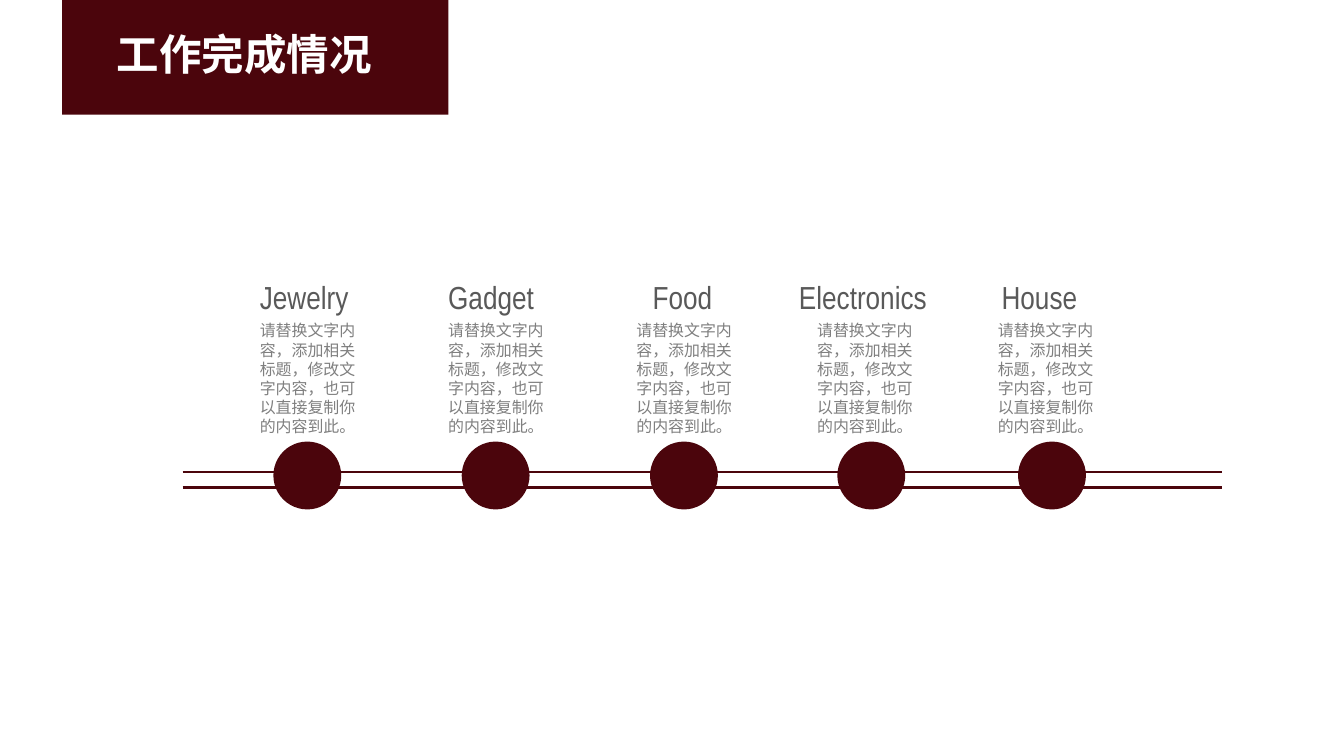
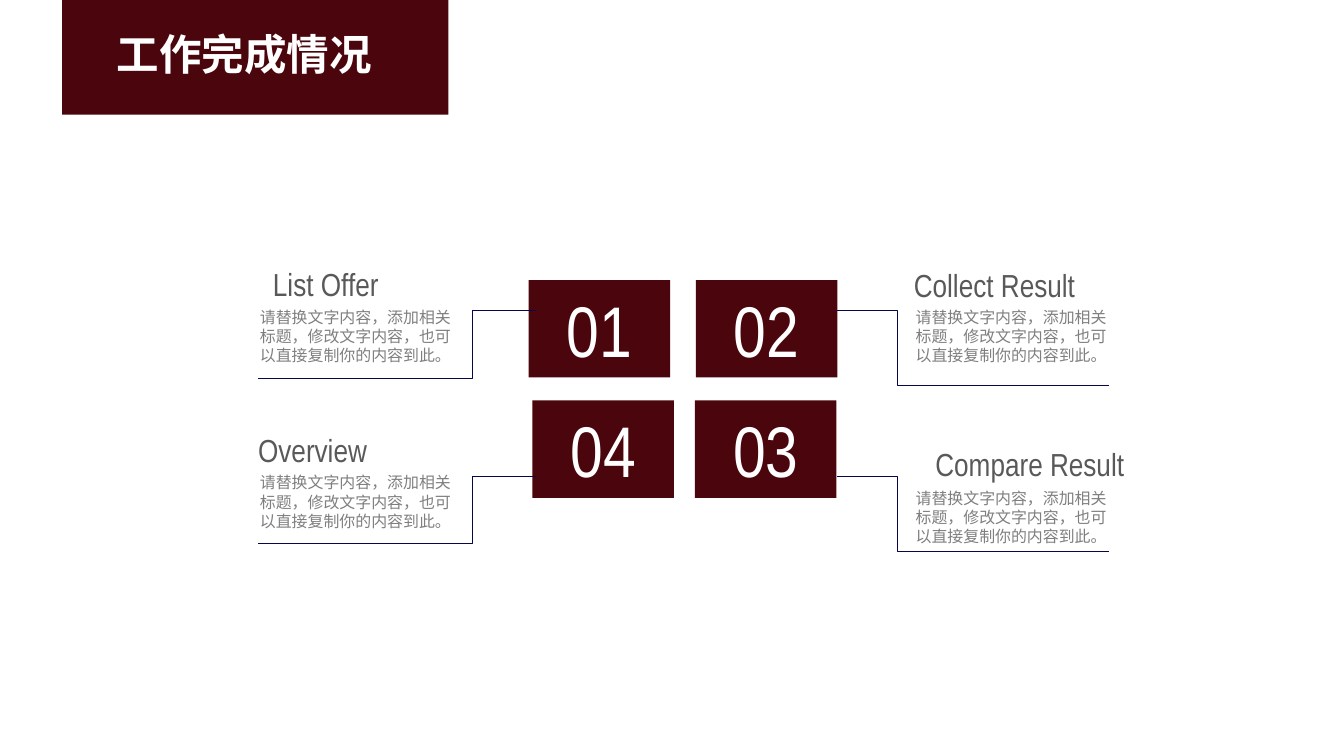
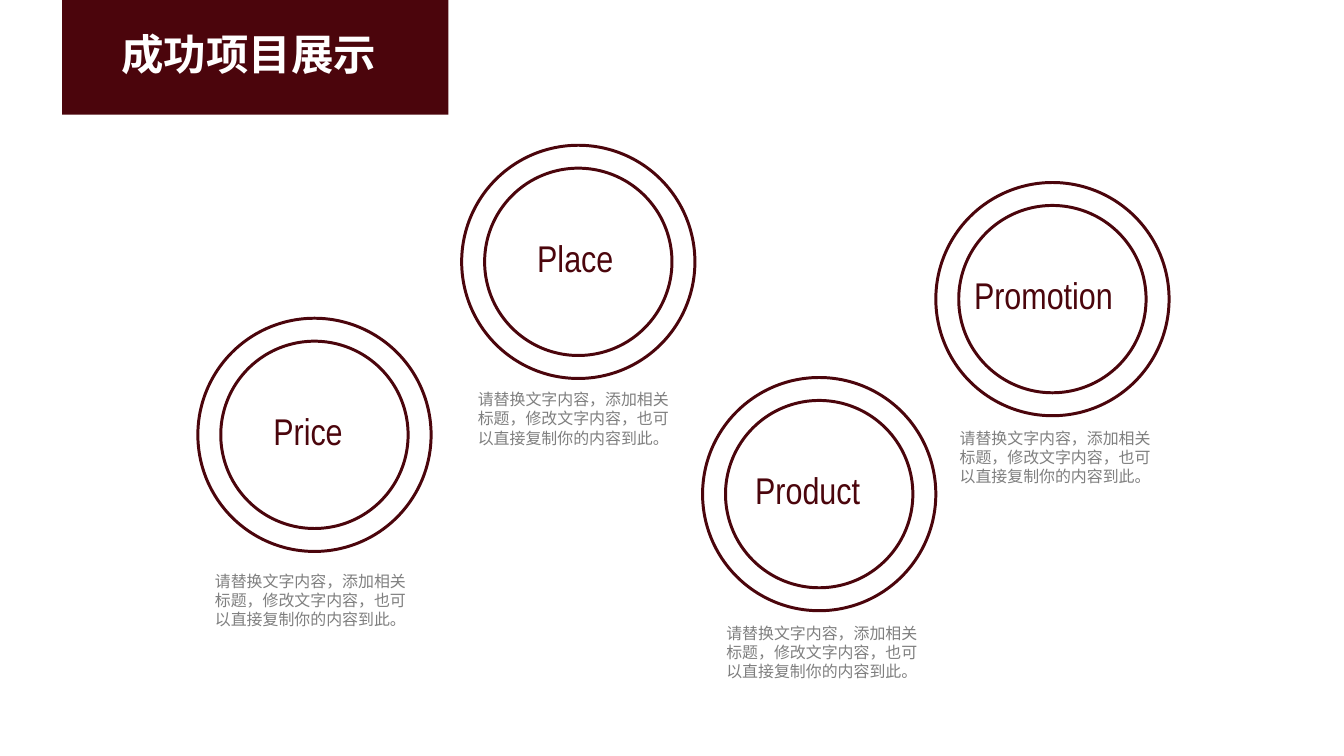
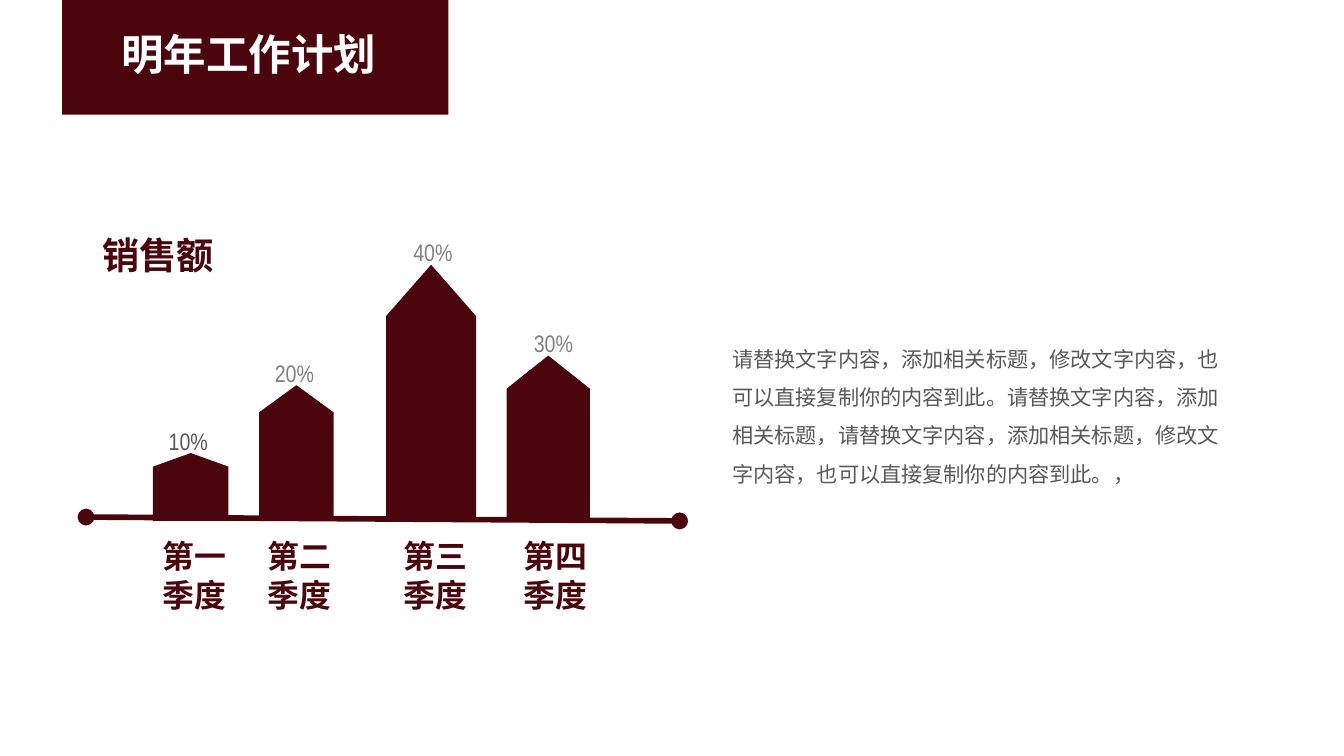
from lxml.etree import SubElement
from pptx import Presentation
from pptx.dml.color import RGBColor
from pptx.enum.shapes import MSO_CONNECTOR, MSO_SHAPE
from pptx.enum.text import MSO_ANCHOR, MSO_AUTO_SIZE, PP_ALIGN
from pptx.oxml.ns import qn
from pptx.util import Inches, Pt

MAROON = "4B050C"
NAVY = "06064C"
WHITE = "FFFFFF"
DARK_GREY = "595959"
MID_GREY = "808080"
NOTE_GREY = "7F7F7F"
LATIN_FONT = "Arial Narrow"
CHINESE_FONT = "Noto Sans CJK SC"
NOTE = "请替换文字内容，添加相关标题，修改文字内容，也可以直接复制你的内容到此。"
TITLE_ONLY = 5


def colour(hex_string):
    return RGBColor.from_string(hex_string)


def write_text(shape, text, size, color, font=LATIN_FONT, bold=False,
               align=PP_ALIGN.LEFT, anchor=MSO_ANCHOR.TOP,
               insets=(0.1, 0.05, 0.1, 0.05), line_spacing=None):
    """Fill a shape with one formatted paragraph; insets are left, top, right, bottom."""
    frame = shape.text_frame
    frame.text = text
    frame.word_wrap = True
    frame.auto_size = MSO_AUTO_SIZE.NONE
    frame.vertical_anchor = anchor
    (frame.margin_left, frame.margin_top,
     frame.margin_right, frame.margin_bottom) = map(Inches, insets)
    paragraph = frame.paragraphs[0]
    paragraph.alignment = align
    if line_spacing:
        paragraph.line_spacing = line_spacing
    run = paragraph.runs[0]
    run.font.size = Pt(size)
    run.font.bold = bold
    run.font.name = font
    run.font.color.rgb = colour(color)
    SubElement(run.font._element, qn("a:ea")).set("typeface", font)


def add_text(slide, box, text, **text_format):
    shape = slide.shapes.add_textbox(*map(Inches, box))
    write_text(shape, text, **text_format)


def add_note(slide, left, top, width=2.28, height=0.71):
    add_text(slide, (left, top, width, height), NOTE, size=12,
             color=NOTE_GREY, font=CHINESE_FONT)


def add_figure(slide, kind, box, fill=None, line=None, line_width=2.25):
    shape = slide.shapes.add_shape(kind, *map(Inches, box))
    shape.shadow.inherit = False
    if fill:
        shape.fill.solid()
        shape.fill.fore_color.rgb = colour(fill)
    else:
        shape.fill.background()
    if line:
        shape.line.color.rgb = colour(line)
        shape.line.width = Pt(line_width)
    else:
        shape.line.fill.background()
    return shape


def add_line(slide, start, end, color, width, bend=None, oval_ends=False):
    """Draw a straight line, or an elbow that turns at the share `bend` of its width."""
    kind = MSO_CONNECTOR.STRAIGHT if bend is None else MSO_CONNECTOR.ELBOW
    connector = slide.shapes.add_connector(kind, *map(Inches, start + end))
    connector.line.color.rgb = colour(color)
    connector.line.width = Pt(width)
    properties = connector._element.spPr
    if bend is not None:
        guides = properties.find(qn("a:prstGeom")).get_or_add_avLst()
        guide = SubElement(guides, qn("a:gd"))
        guide.set("name", "adj1")
        guide.set("fmla", f"val {round(bend * 100000)}")
    if oval_ends:
        for tag in ("a:headEnd", "a:tailEnd"):
            SubElement(properties.find(qn("a:ln")), qn(tag)).set("type", "oval")
    SubElement(properties, qn("a:effectLst"))


def add_titled_slide(presentation, title, indent):
    """Add a slide whose title placeholder is the maroon band at the top."""
    slide = presentation.slides.add_slide(presentation.slide_layouts[TITLE_ONLY])
    band = slide.shapes.title
    band.left, band.top, band.width, band.height = map(Inches, (0.65, 0, 4.04, 1.2))
    band.fill.solid()
    band.fill.fore_color.rgb = colour(MAROON)
    write_text(band, title, size=32, color=WHITE, font=CHINESE_FONT, bold=True,
               anchor=MSO_ANCHOR.MIDDLE, insets=(indent, 0.05, 0.1, 0.12))
    return slide


def add_stop(slide, left, top, label, label_shift, marker_shift):
    """Place a timeline stop: label, note and round marker."""
    add_text(slide, (left + label_shift, top, 1.8, 0.5), label,
             size=24, color=DARK_GREY)
    add_note(slide, left, top + 0.45, 1.26, 1.31)
    add_figure(slide, MSO_SHAPE.OVAL, (left + marker_shift, top + 1.76, 0.71, 0.71),
               fill=MAROON)


def build_timeline(presentation):
    slide = add_titled_slide(presentation, "工作完成情况", 0.57)
    for y in (4.94, 5.1):
        add_line(slide, (1.91, y), (12.78, y), MAROON, 2)
    stops = [
        (2.62, "Jewelry", 0, 0.24),
        (4.59, "Gadget", 0, 0.24),
        (6.56, "Food", 0.17, 0.24),
        (8.45, "Electronics", -0.19, 0.31),
        (10.34, "House", 0.04, 0.31),
    ]
    for left, *stop in stops:
        add_stop(slide, left, 2.86, *stop)


def add_number_tile(slide, left, top, number):
    tile = add_figure(slide, MSO_SHAPE.RECTANGLE, (left, top, 1.48, 1.02), fill=MAROON)
    write_text(tile, number, size=54, color=WHITE, align=PP_ALIGN.CENTER,
               anchor=MSO_ANCHOR.MIDDLE, insets=(0.11, 0.05, 0.11, 0.05))


def add_callout(slide, note_left, note_top, heading, heading_at, align, start, end, bend):
    """Place a heading, its note and the elbow that leads to a tile."""
    add_text(slide, (*heading_at, 2.44, 0.4), heading, size=24, color=DARK_GREY,
             align=align, insets=(0, 0, 0, 0))
    add_note(slide, note_left, note_top)
    add_line(slide, start, end, NAVY, 0.5, bend=bend)


def build_numbered_tiles(presentation):
    slide = add_titled_slide(presentation, "工作完成情况", 0.57)
    tiles = [(5.53, 2.93, "01"), (7.28, 2.93, "02"),
             (7.27, 4.19, "03"), (5.57, 4.19, "04")]
    for tile in tiles:
        add_number_tile(slide, *tile)
    left, right = PP_ALIGN.LEFT, PP_ALIGN.RIGHT
    callouts = [
        (2.62, 3.17, "List Offer", (1.52, 2.77), right, (5.61, 3.25), (2.7, 3.96), 0.23),
        (2.62, 4.9, "Overview", (2.7, 4.51), left, (5.61, 4.98), (2.7, 5.69), 0.23),
        (9.48, 3.17, "Collect Result", (9.56, 2.78), left, (8.76, 3.25), (11.6, 4.03), 0.22),
        (9.48, 5.06, "Compare Result", (9.32, 4.65), right, (8.76, 4.98), (11.6, 5.77), 0.22),
    ]
    for callout in callouts:
        add_callout(slide, *callout)


def add_ring(slide, left, top, label, label_shift, note_shift, note_drop):
    """Place two concentric circles with a label inside and a note below."""
    add_text(slide, (left + label_shift, top + 0.94, 2.44, 0.47), label,
             size=28, color=MAROON, insets=(0, 0, 0, 0))
    for inset in (0, 0.24):
        size = 2.44 - 2 * inset
        add_figure(slide, MSO_SHAPE.FLOWCHART_CONNECTOR,
                   (left + inset, top + inset, size, size), line=MAROON)
    add_note(slide, left + note_shift, top + note_drop)


def build_rings(presentation):
    slide = add_titled_slide(presentation, "成功项目展示", 0.62)
    rings = [
        (2.07, 3.33, "Price", 0.79, 0.08, 2.6),
        (4.83, 1.52, "Place", 0.79, 0.07, 2.51),
        (7.35, 3.95, "Product", 0.55, 0.15, 2.52),
        (9.79, 1.91, "Promotion", 0.4, 0.15, 2.52),
    ]
    for ring in rings:
        add_ring(slide, *ring)


def add_quarter(slide, left, base, width, height, quarter, quarter_shift,
                percent, percent_shift, percent_color):
    """Place a pointed bar on the base line, its percentage and its quarter."""
    top = base - height
    bar = add_figure(slide, MSO_SHAPE.FLOWCHART_OFFPAGE_CONNECTOR,
                     (left, top, width, height), fill=MAROON)
    bar.rotation = 180
    add_text(slide, (left + percent_shift, top - 0.32, 0.6, 0.35), percent, size=18,
             color=percent_color, align=PP_ALIGN.CENTER, insets=(0.04,) * 4)
    add_text(slide, (left + quarter_shift, base + 0.12, 1.02, 0.91), quarter, size=24,
             color=MAROON, font=CHINESE_FONT, bold=True)


def build_plan(presentation):
    slide = add_titled_slide(presentation, "明年工作计划", 0.62)
    add_line(slide, (0.9, 5.41), (7.11, 5.45), MAROON, 4.25, oval_ends=True)
    quarters = [
        (1.6, 0.79, 0.71, "第一季度", 0, "10%", 0.07, DARK_GREY),
        (2.71, 0.78, 1.42, "第二季度", -0.01, "20%", 0.07, MID_GREY),
        (4.04, 0.94, 2.68, "第三季度", 0.08, "40%", 0.19, MID_GREY),
        (5.3, 0.87, 1.73, "第四季度", 0.08, "30%", 0.19, MID_GREY),
    ]
    for left, *quarter in quarters:
        add_quarter(slide, left, 5.45, *quarter)
    add_text(slide, (0.97, 2.38, 1.42, 0.57), "销售额", size=28, color=MAROON,
             font=CHINESE_FONT, bold=True)
    add_text(slide, (7.66, 3.49, 5.28, 1.57), f"{NOTE}请替换文字内容，添加相关标题，{NOTE}，",
             size=16, color=DARK_GREY, font=CHINESE_FONT, insets=(0, 0, 0, 0),
             line_spacing=1.5)


def main():
    presentation = Presentation()
    presentation.slide_width = Inches(14.06)
    presentation.slide_height = Inches(7.91)
    for build in (build_timeline, build_numbered_tiles, build_rings, build_plan):
        build(presentation)
    presentation.save("out.pptx")


if __name__ == "__main__":
    main()
